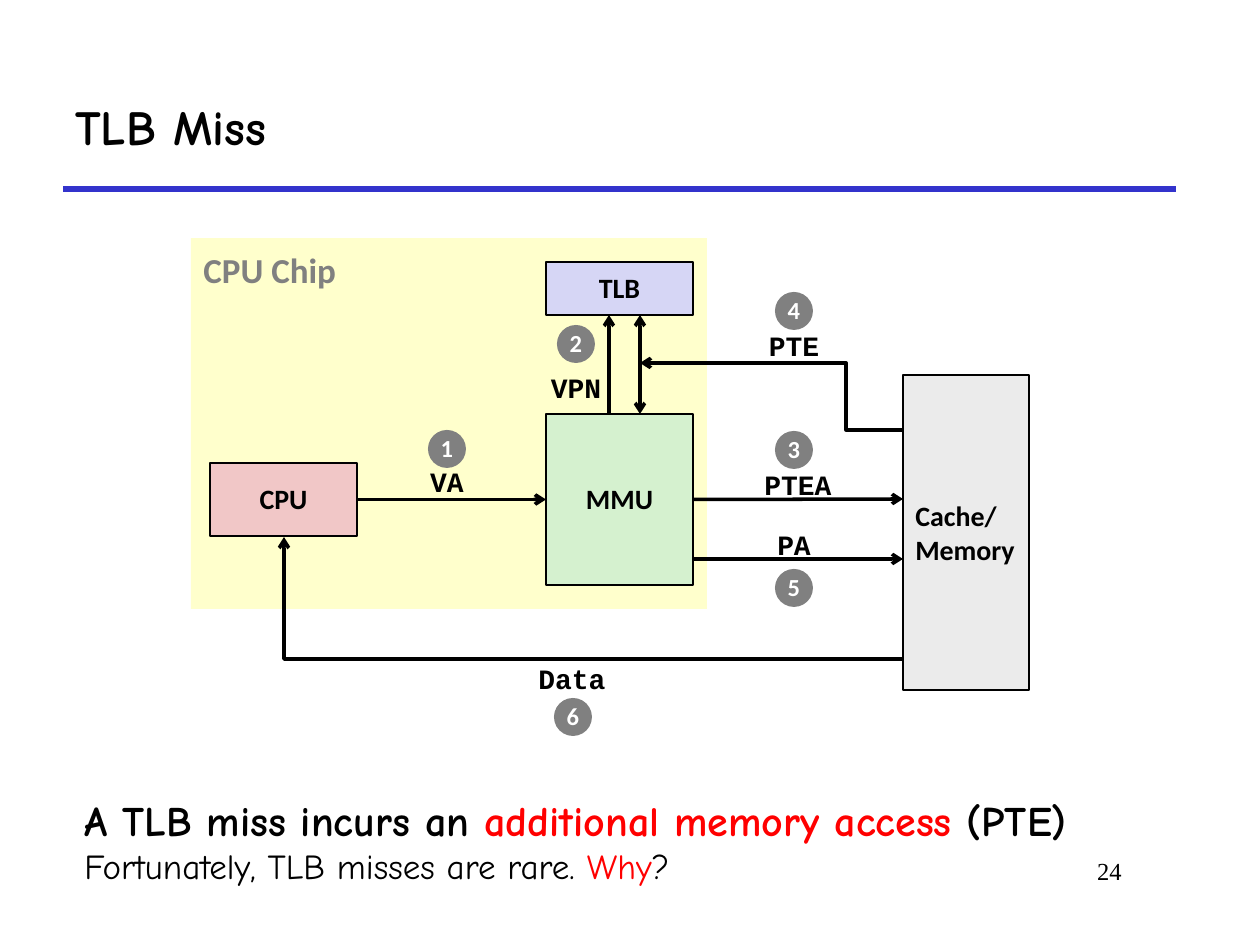
from lxml.etree import SubElement
from pptx import Presentation
from pptx.dml.color import RGBColor
from pptx.enum.shapes import MSO_CONNECTOR, MSO_SHAPE
from pptx.enum.text import MSO_ANCHOR, PP_ALIGN
from pptx.oxml.ns import qn
from pptx.util import Emu, Pt

SCALE = 914400 / 126
LEFT, CENTER, RIGHT = PP_ALIGN.LEFT, PP_ALIGN.CENTER, PP_ALIGN.RIGHT
TOP, MIDDLE = MSO_ANCHOR.TOP, MSO_ANCHOR.MIDDLE
BLACK, WHITE, GRAY, RED = "000000", "FFFFFF", "808080", "FF0000"

CHIP = (191, 238, 516, 371)
BLOCKS = {
    "MMU": ((546, 414, 147, 171), "D5F1CF", 1, CENTER),
    "Cache/\nMemory": ((903, 375, 126, 315), "EBEBEB", 1.5, LEFT),
    "CPU": ((210, 463, 147, 73), "F1C7C7", 1, CENTER),
    "TLB": ((546, 262, 147, 53), "D6D6F5", 1, CENTER),
}
SIGNALS = [("VA", 447, 483), ("VPN", 576, 389), ("PTEA", 798, 486),
           ("PTE", 794, 347), ("PA", 794, 546), ("Data", 572, 680)]
STEPS = [("1", 447, 449), ("2", 576, 344), ("3", 794, 450),
         ("4", 794, 311), ("5", 794, 588), ("6", 573, 717)]
STEP_SIZE = 38
SIGNAL_WIDTH, SIGNAL_HEIGHT = 94, 46
STRAIGHT_ARROWS = [((693, 559), (903, 559), False),
                   ((609, 414), (609, 315), False),
                   ((640, 315), (640, 414), True)]
JOINED_ARROWS = [("CPU", 3, (357, 499), "MMU", 1, (546, 499)),
                 ("MMU", 3, (693, 499), None, None, (903, 499))]
ELBOW_ARROWS = [("bentConnector2", (284, 537), (903, 659), None),
                ("bentConnector3", (640, 363), (903, 430), 21600)]
SUMMARY = [
    [("A TLB miss incurs an ", BLACK), ("additional memory access", RED), (" (PTE)", BLACK)],
    [("Fortunately, TLB misses are rare. ", BLACK), ("Why", RED), ("?", BLACK)],
]
SUMMARY_STYLES = [(24, True), (20, False)]


def px(value):
    """Turn pixels into EMU."""
    return Emu(round(value * SCALE))


def color(value):
    """Turn a hex string into a colour."""
    return RGBColor.from_string(value)


def style_font(font, size, name, hex_color, bold):
    """Set the look of a font."""
    font.size, font.name, font.bold = Pt(size), name, bold
    font.color.rgb = color(hex_color)


def set_text(shape, text, size, name, hex_color=BLACK, bold=True, align=LEFT,
             anchor=MIDDLE, wrap=False):
    """Write uniformly styled text into a shape."""
    frame = shape.text_frame
    frame.text = text
    frame.word_wrap = wrap
    frame.vertical_anchor = anchor
    for paragraph in frame.paragraphs:
        paragraph.alignment = align
        if align == CENTER:
            paragraph.line_spacing = 0.98
        for run in paragraph.runs:
            style_font(run.font, size, name, hex_color, bold)


def add_box(slide, kind, box, fill, line_width=0):
    """Add a filled shape with an optional black outline."""
    shape = slide.shapes.add_shape(kind, *map(px, box))
    shape.shadow.inherit = False
    shape.fill.solid()
    shape.fill.fore_color.rgb = color(fill)
    if line_width:
        shape.line.color.rgb = color(BLACK)
        shape.line.width = Pt(line_width)
    else:
        shape.line.fill.background()
    return shape


def add_label(slide, box, text, size, name, **style):
    """Add a text box."""
    shape = slide.shapes.add_textbox(*map(px, box))
    set_text(shape, text, size, name, **style)


def add_line(slide, start, end, kind=MSO_CONNECTOR.STRAIGHT, hex_color=BLACK,
             width=2, heads=("tailEnd",)):
    """Add a connector with the given arrowheads."""
    line = slide.shapes.add_connector(kind, *map(px, start + end))
    line.line.color.rgb = color(hex_color)
    line.line.width = Pt(width)
    for head in heads:
        SubElement(line.line._get_or_add_ln(), qn(f"a:{head}"), type="arrow")
    SubElement(line._element.spPr, qn("a:effectLst"))
    return line


def add_elbow(slide, preset, start, end, adjustment):
    """Add an elbow arrow running from the lower right to the upper left."""
    properties = add_line(slide, start, end, MSO_CONNECTOR.ELBOW)._element.spPr
    properties.find(qn("a:xfrm")).set("rot", "10800000")
    geometry = properties.find(qn("a:prstGeom"))
    geometry.set("prst", preset)
    if adjustment:
        guides = geometry.find(qn("a:avLst"))
        SubElement(guides, qn("a:gd"), name="adj1", fmla=f"val {adjustment}")


def add_summary(slide):
    """Add the two-line conclusion."""
    frame = slide.shapes.add_textbox(*map(px, (72, 788, 1157, 126))).text_frame
    frame.word_wrap = True
    paragraph = frame.paragraphs[0]
    for index, (parts, (size, bold)) in enumerate(zip(SUMMARY, SUMMARY_STYLES)):
        if index:
            paragraph.add_line_break()
        for text, hex_color in parts:
            run = paragraph.add_run()
            run.text = text
            style_font(run.font, size, "Comic Neue", hex_color, bold)


def main():
    """Build the slide."""
    presentation = Presentation()
    presentation.slide_width, presentation.slide_height = px(1260), px(945)
    slide = presentation.slides.add_slide(presentation.slide_layouts[6])

    add_line(slide, (63, 189), (1176, 189), hex_color="3333CC", width=3, heads=())
    add_label(slide, (955, 850, 179, 63), "24", 14, "Times New Roman", bold=False,
              align=RIGHT, anchor=TOP, wrap=True)
    add_label(slide, (63, 63, 1113, 126), "TLB Miss", 28, "Comic Neue", wrap=True)

    add_box(slide, MSO_SHAPE.RECTANGLE, CHIP, "FFFFCC")
    add_label(slide, (191, 242, 159, 55), "CPU Chip", 20, "Calibri",
              hex_color=GRAY, anchor=TOP)
    blocks = {}
    for text, (box, fill, line_width, align) in BLOCKS.items():
        blocks[text] = add_box(slide, MSO_SHAPE.RECTANGLE, box, fill, line_width)
        set_text(blocks[text], text, 16, "Calibri", align=align)

    for text, x, y in SIGNALS:
        box = (x - SIGNAL_WIDTH / 2, y - SIGNAL_HEIGHT / 2, SIGNAL_WIDTH, SIGNAL_HEIGHT)
        add_label(slide, box, text, 16, "Courier New", align=CENTER)
    for text, x, y in STEPS:
        box = (x - STEP_SIZE / 2, y - STEP_SIZE / 2, STEP_SIZE, STEP_SIZE)
        step = add_box(slide, MSO_SHAPE.OVAL, box, GRAY)
        set_text(step, text, 14, "Calibri", hex_color=WHITE, align=CENTER)

    for start, end, double in STRAIGHT_ARROWS:
        heads = ("headEnd", "tailEnd") if double else ("tailEnd",)
        add_line(slide, start, end, heads=heads)
    for source, source_side, start, target, target_side, end in JOINED_ARROWS:
        arrow = add_line(slide, start, end)
        arrow.begin_connect(blocks[source], source_side)
        if target:
            arrow.end_connect(blocks[target], target_side)
    for elbow in ELBOW_ARROWS:
        add_elbow(slide, *elbow)

    add_summary(slide)
    presentation.save("out.pptx")


if __name__ == "__main__":
    main()
